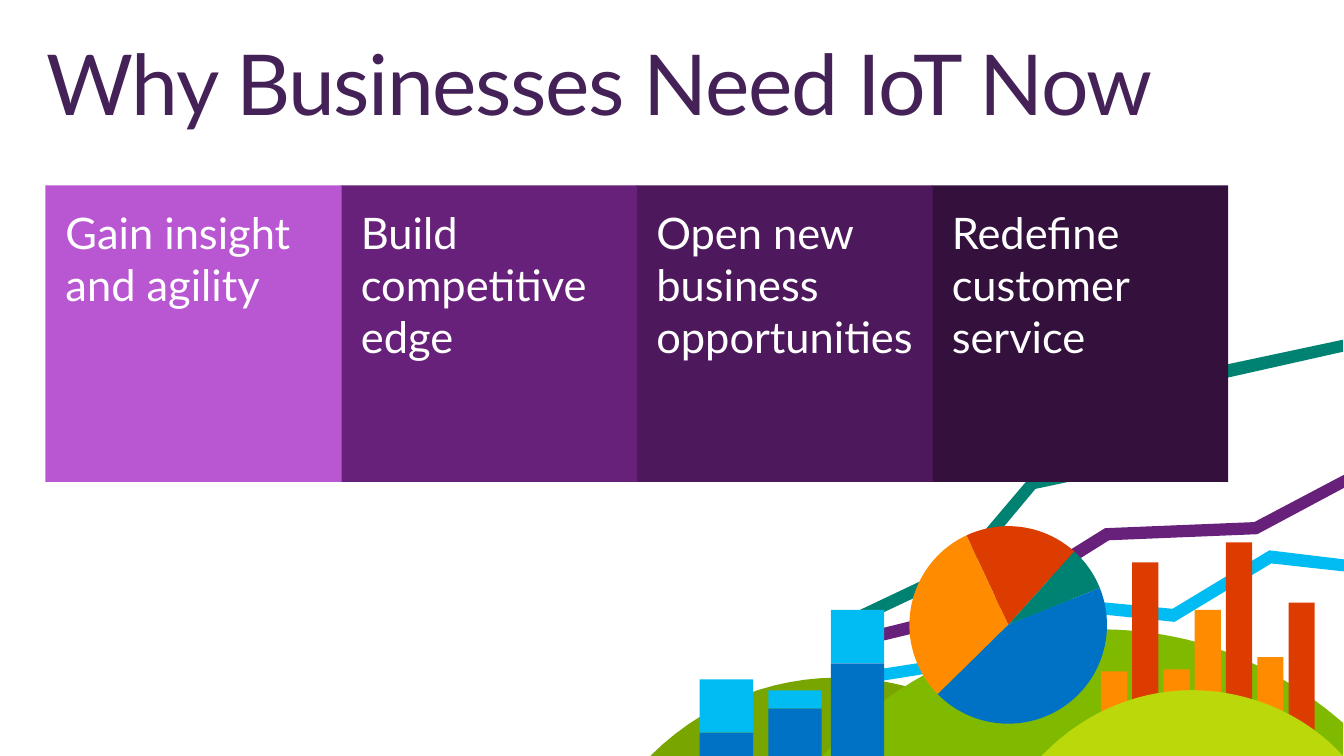
from dataclasses import dataclass
from pptx import Presentation
from pptx.dml.color import RGBColor
from pptx.enum.shapes import MSO_SHAPE as Preset
from pptx.enum.text import MSO_ANCHOR as Anchor, PP_ALIGN as Align
from pptx.util import Cm, Pt


@dataclass(frozen=True)
class Theme:
    font: str = "Lato"
    title_size: int = 60
    tile_size: int = 31
    title: str = "442157"
    white: str = "FFFFFF"
    lilac: str = "B957D2"
    purple: str = "68217A"
    plum: str = "4E195C"
    night: str = "34103D"
    teal: str = "008272"
    cyan: str = "00BCF2"
    blue: str = "0072C6"
    orange: str = "FF8C00"
    red: str = "DC3C00"
    moss: str = "79A500"
    green: str = "7FBA00"
    lime: str = "BAD80A"


THEME = Theme()
PAGE_WIDTH, PAGE_HEIGHT = 13.33, 7.5
TITLE = "Why Businesses Need IoT Now"
TILES = [
    ("Gain insight and agility", THEME.lilac),
    ("Build competitive edge", THEME.purple),
    ("Open new business opportunities", THEME.plum),
    ("Redefine customer service", THEME.night),
]
TRENDS = [
    (THEME.purple, [(8.33, 6.46), (8.31, 6.34), (9.77, 5.98), (10.96, 5.24), (12.44, 5.18),
                    (13.33, 4.71), (13.33, 4.84), (12.47, 5.3), (11, 5.36), (9.82, 6.1)]),
    (THEME.teal, [(8.37, 6.26), (8.32, 6.15), (9.48, 5.6), (10.21, 4.74), (11.39, 4.49),
                  (12.1, 3.63), (13.32, 3.37), (13.32, 3.49), (12.16, 3.75), (11.45, 4.6),
                  (10.27, 4.85), (9.56, 5.7)]),
    (THEME.cyan, [(8.34, 6.82), (8.33, 6.7), (9.49, 6.52), (10.45, 5.93), (11.63, 6.04),
                  (12.59, 5.46), (13.33, 5.55), (13.33, 5.67), (12.61, 5.59), (11.65, 6.17),
                  (10.48, 6.05), (9.53, 6.63)]),
]
BACK_HILLS = [
    (THEME.moss, [(6.45, 7.5), (7.08, 6.87), (7.94, 6.62), (8.76, 6.76),
                  (9.28, 6.85), (9.78, 7.09), (10.19, 7.5)]),
    (THEME.green, [(8.16, 7.5), (8.7, 6.9), (9.36, 6.52), (10.05, 6.35), (10.65, 6.2),
                   (11.27, 6.21), (11.87, 6.37), (12.39, 6.52), (12.88, 6.79), (13.32, 7.17)]),
]
FRONT_HILL = (THEME.lime, [(10.33, 7.5), (10.77, 7.04), (11.35, 6.82), (11.93, 6.85),
                           (12.01, 6.86), (12.1, 6.86), (12.18, 6.88), (12.35, 6.91),
                           (12.51, 6.96), (12.67, 7.03), (12.91, 7.14), (13.13, 7.29),
                           (13.32, 7.5)])
PIE_CENTER, PIE_RADIUS = (10, 6.2), 0.98
SLICES = [(THEME.red, 245, 312), (THEME.teal, 312, 338),
          (THEME.orange, 135.5, 245), (THEME.blue, 338, 135.5)]
BAR_TOPS = [(6.66, THEME.orange), (5.58, THEME.red), (6.64, THEME.orange), (6.05, THEME.orange),
            (5.38, THEME.red), (6.52, THEME.orange), (5.98, THEME.red)]
STACKS = [(6.94, 6.74, 7.27), (7.62, 6.85, 7.03), (8.24, 6.05, 6.58)]


def inches(value):
    return Cm(value * 2.54)


def paint(shape, color):
    shape.shadow.inherit = False
    shape.fill.solid()
    shape.fill.fore_color.rgb = RGBColor.from_string(color)
    shape.line.fill.background()


def add_preset(shapes, kind, left, top, width, height, color):
    shape = shapes.add_shape(kind, *map(inches, (left, top, width, height)))
    paint(shape, color)
    return shape


def add_outline(shapes, points, color):
    start, *rest = [(inches(x), inches(y)) for x, y in points]
    builder = shapes.build_freeform(*start)
    builder.add_line_segments(rest)
    paint(builder.convert_to_shape(), color)


def curve_points(knots, steps=16):
    points = [knots[0]]
    for first in range(0, len(knots) - 1, 3):
        a, b, c, d = knots[first:first + 4]
        for step in range(1, steps + 1):
            t = step / steps
            u = 1 - t
            points.append(tuple(u**3 * p + 3 * u * u * t * q + 3 * u * t * t * r + t**3 * s
                                for p, q, r, s in zip(a, b, c, d)))
    return points


def add_hill(shapes, color, knots):
    corner = (knots[-1][0], PAGE_HEIGHT)
    add_outline(shapes, curve_points(knots) + [corner], color)


def add_text(frame, text, size, color, margins):
    frame.text = text
    frame.word_wrap = True
    frame.vertical_anchor = Anchor.TOP
    (frame.margin_left, frame.margin_top,
     frame.margin_right, frame.margin_bottom) = map(inches, margins)
    para = frame.paragraphs[0]
    para.alignment = Align.LEFT
    span = para.runs[0]
    span.font.name = THEME.font
    span.font.size = Pt(size)
    span.font.color.rgb = RGBColor.from_string(color)
    return para


def add_title(page):
    title = page.shapes.title
    title.left, title.top, title.width, title.height = map(inches, (0.3, 0.33, 13.03, 1.2))
    para = add_text(title.text_frame, TITLE, THEME.title_size, THEME.title, (0.16, 0.1, 0.16, 0.1))
    para.line_spacing = 0.9
    para.runs[0].font._element.set("spc", "-100")


def add_scene(page):
    shapes = page.shapes.add_group_shape().shapes
    for color, points in TRENDS:
        add_outline(shapes, points, color)
    for color, knots in BACK_HILLS:
        add_hill(shapes, color, knots)

    left, top = (center - PIE_RADIUS for center in PIE_CENTER)
    for color, start, end in SLICES:
        pie = add_preset(shapes, Preset.PIE, left, top, 2 * PIE_RADIUS, 2 * PIE_RADIUS, color)
        pie.adjustments[0], pie.adjustments[1] = start * 0.6, end * 0.6

    for index, (top, color) in enumerate(BAR_TOPS):
        add_preset(shapes, Preset.RECTANGLE, 10.92 + 0.31 * index, top, 0.26, 7.25 - top, color)
    for left, top, middle in STACKS:
        for upper, lower, color in ((top, middle, THEME.cyan), (middle, PAGE_HEIGHT, THEME.blue)):
            add_preset(shapes, Preset.RECTANGLE, left, upper, 0.53, lower - upper, color)
    add_hill(shapes, *FRONT_HILL)


def add_tiles(page):
    for index, (text, color) in reversed(list(enumerate(TILES))):
        box = add_preset(page.shapes, Preset.RECTANGLE, 0.45 + 2.93 * index, 1.84, 2.94, 2.94, color)
        add_text(box.text_frame, text, THEME.tile_size, THEME.white, (0.2, 0.2, 0, 0.05))


def main():
    deck = Presentation()
    deck.slide_width, deck.slide_height = inches(PAGE_WIDTH), inches(PAGE_HEIGHT)
    page = deck.slides.add_slide(deck.slide_layouts[5])
    add_title(page)
    add_scene(page)
    add_tiles(page)
    deck.save("out.pptx")


if __name__ == "__main__":
    main()
